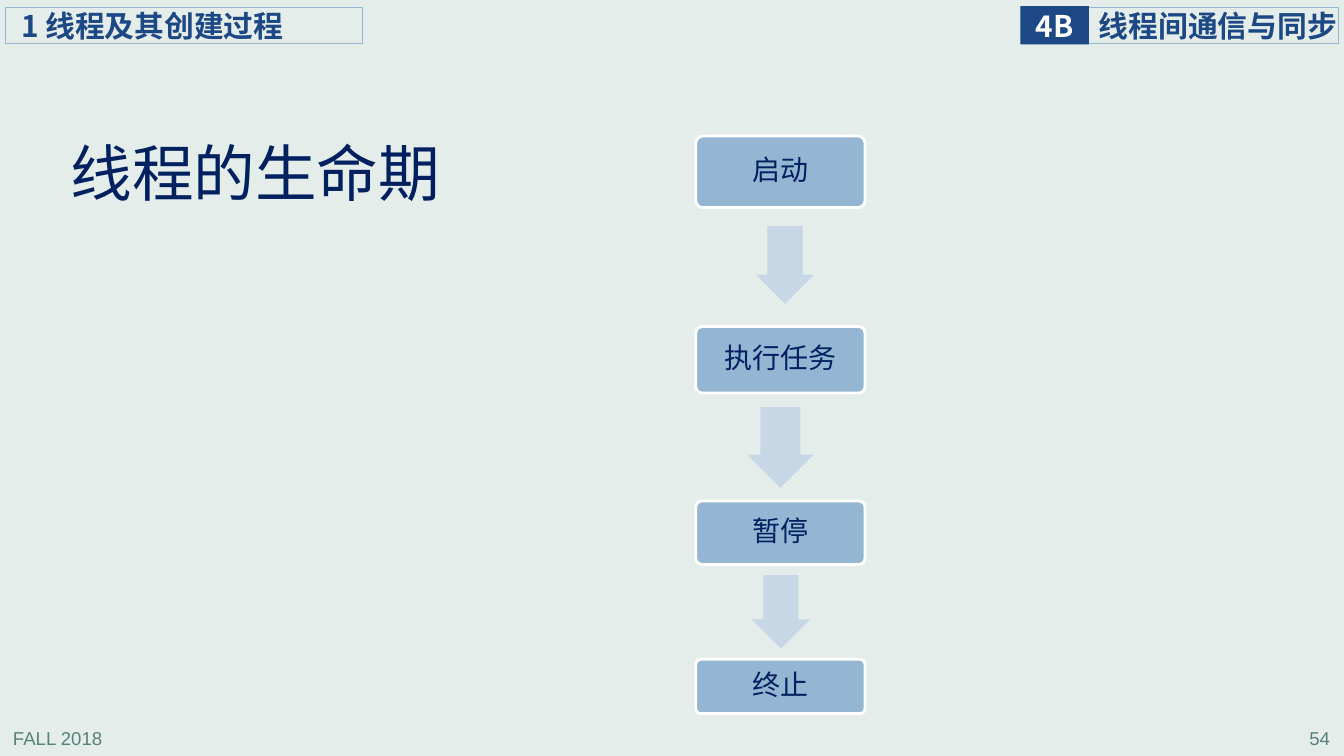
"""Builds the thread life cycle slide: headers, title and a four-step flow."""
import pptx
import pptx.dml.color
import pptx.enum.shapes
import pptx.enum.text
import pptx.oxml.ns
import pptx.util
from lxml import etree

Inches = pptx.util.Inches
Pt = pptx.util.Pt
MSO = pptx.enum.shapes.MSO_SHAPE
ALIGN = pptx.enum.text.PP_ALIGN
ANCHOR = pptx.enum.text.MSO_ANCHOR
CJK = "Noto Sans CJK SC"
COLORS = {
    "background": "E5EDEB",
    "footer": "578279",
    "header": "1C4885",
    "step": "94B6D2",
    "arrow": "C8D7E5",
    "text": "002060",
    "white": "FFFFFF",
}


def rgb(name):
    return pptx.dml.color.RGBColor.from_string(COLORS[name])


def add_box(box, kind=None, fill=None, line=None, width=0.75, text="", size=20,
            color="text", font=CJK, bold=False, align=ALIGN.LEFT,
            anchor=ANCHOR.MIDDLE, insets=(0, 0, 0, 0), spacing=None, wrap=True):
    box = [Inches(v) for v in box]
    if kind is None:
        sp = s.shapes.add_textbox(*box)
    else:
        sp = s.shapes.add_shape(kind, *box)
        sp.shadow.inherit = False
    if fill:
        sp.fill.solid()
        sp.fill.fore_color.rgb = rgb(fill)
    else:
        sp.fill.background()
    if line:
        sp.line.color.rgb = rgb(line)
        sp.line.width = Pt(width)
    else:
        sp.line.fill.background()
    if text:
        tf = sp.text_frame
        tf.word_wrap = wrap
        tf.vertical_anchor = anchor
        tf.margin_left, tf.margin_top, tf.margin_right, tf.margin_bottom = map(Inches, insets)
        p = tf.paragraphs[0]
        p.text = text
        p.alignment = align
        p.line_spacing = spacing
        p.font.size = Pt(size)
        p.font.bold = bold
        p.font.color.rgb = rgb(color)
        p.font.name = font
        ea = etree.SubElement(p._p.pPr.find(pptx.oxml.ns.qn("a:defRPr")), pptx.oxml.ns.qn("a:ea"))
        ea.set("typeface", font)
    return sp


prs = pptx.Presentation()
prs.slide_width = Inches(13.33)
prs.slide_height = Inches(7.5)
s = prs.slides.add_slide(prs.slide_layouts[6])
s.background.fill.solid()
s.background.fill.fore_color.rgb = rgb("background")

for left, text, align in [(0.03, "FALL 2018", ALIGN.LEFT), (10.51, "54", ALIGN.RIGHT)]:
    add_box((left, 7.16, 2.78, 0.31), text=text, size=13.3, color="footer", font="Arial",
            align=align, anchor=ANCHOR.TOP, insets=(0.1, 0.05, 0.1, 0.05))

for left, width, inset, text in [(10.78, 2.5, 0.12, "线程间通信与同步"),
                                 (0.05, 3.55, 0.16, "1 线程及其创建过程")]:
    add_box((left, 0.07, width, 0.36), MSO.RECTANGLE, line="step", text=text, size=21.3,
            color="header", bold=True, insets=(inset, 0, 0, 0))
add_box((10.12, 0.06, 0.68, 0.38), MSO.RECTANGLE, fill="header", text="4B", size=21.3,
        color="white", bold=True, align=ALIGN.CENTER, wrap=False)

add_box((0.62, 1.35, 4.46, 0.8), text="线程的生命期", size=44, spacing=0.9,
        insets=(0.08, 0.04, 0.08, 0.04))

steps = [("启动", 1.35, 0.71), ("执行任务", 3.24, 0.66), ("暂停", 4.97, 0.63), ("终止", 6.54, 0.54)]
for text, top, height in steps:
    sp = add_box((6.9, top, 1.68, height), MSO.ROUNDED_RECTANGLE, fill="step", line="white",
                 width=2, text=text, align=ALIGN.CENTER, spacing=0.9, insets=(0.08,) * 4)
    sp.adjustments[0] = 0.1

for arrow in [(7.4, 2.34, 0.77, 0.58), (7.34, 4.11, 0.8, 0.66), (7.38, 5.78, 0.73, 0.58)]:
    sp = add_box(arrow, MSO.RIGHT_ARROW, fill="arrow")
    sp.rotation = 90
    sp.adjustments[0] = 0.6
    sp.adjustments[1] = 0.5

prs.save("out.pptx")
